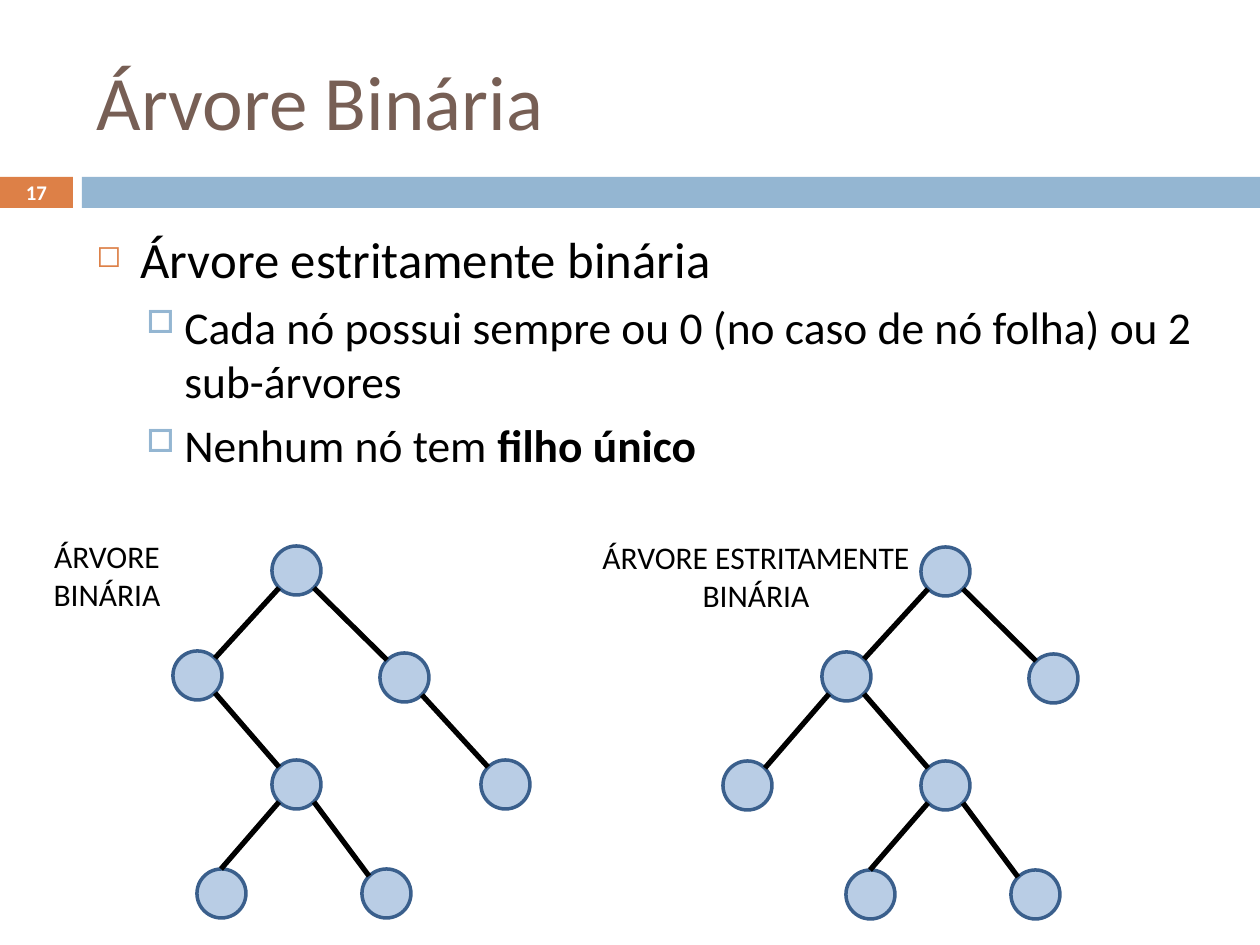
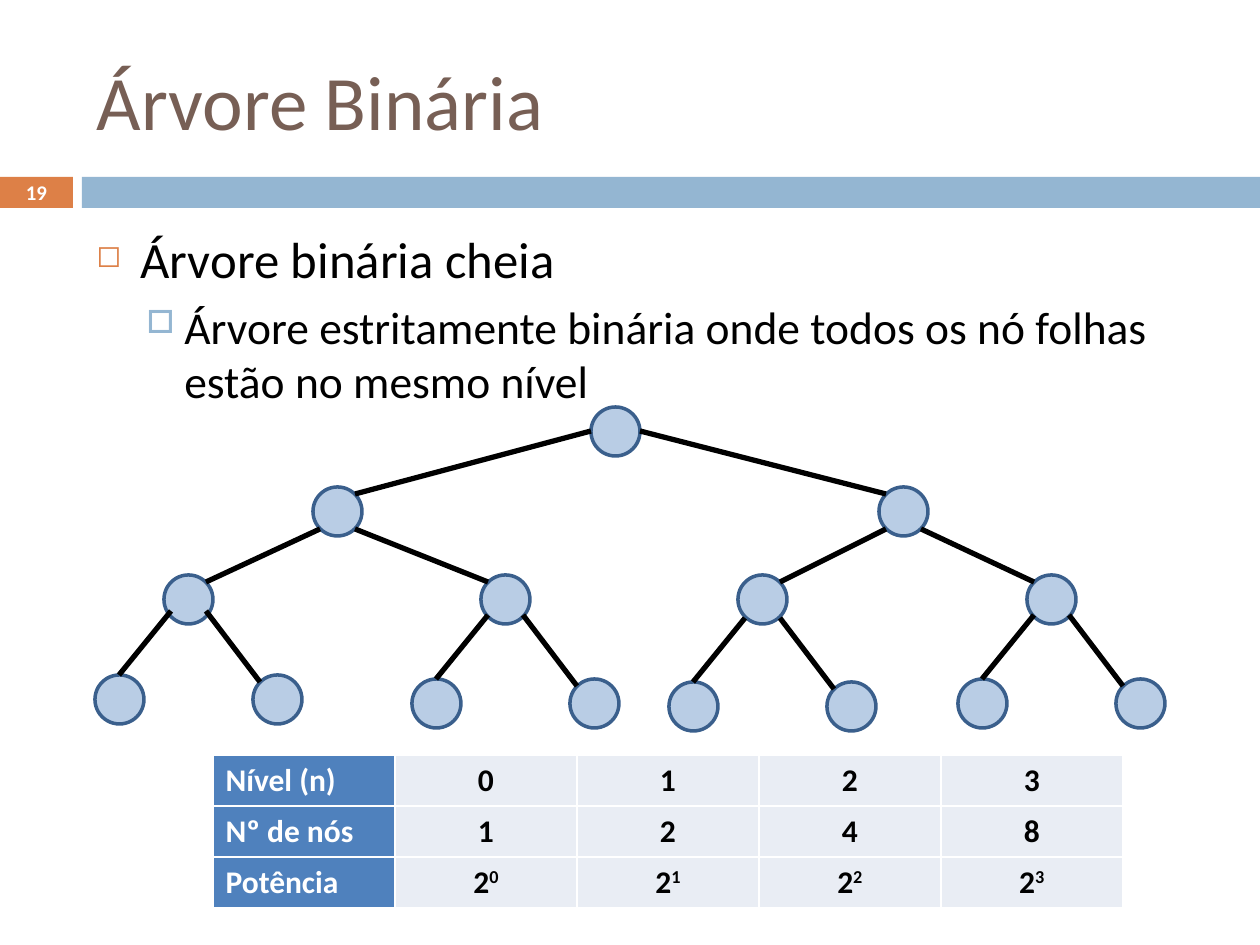
from dataclasses import dataclass

from lxml import etree
from pptx import Presentation
from pptx import util as u
from pptx.dml.color import RGBColor
from pptx.enum import shapes, text
from pptx.oxml import ns


@dataclass(frozen=True)
class Theme:
    font: str = "Calibri"
    title: str = "775F55"
    orange: str = "DD8047"
    blue: str = "94B6D2"
    white: str = "FFFFFF"
    black: str = "000000"
    node: str = "B9CDE5"
    node_line: str = "3A5F8C"
    head_cell: str = "4F81BD"
    cell: str = "E9EDF4"
    title_size: float = 44
    number_size: float = 11.9
    body_sizes: tuple = (29, 26)
    small_size: float = 18


T = Theme()
rgb = RGBColor.from_string
PX = 914400 / 126
NODE = 49  # node diameter

# Points on a node's outline, measured from its top left corner
SITES = {"t": (24, 0), "l": (0, 24), "r": (49, 24), "tl": (7, 7),
         "tr": (42, 7), "bl": (7, 42), "br": (42, 42)}

# Bullet style by level: character, colour, size %, left, hanging, space before
BULLETS = [("◻", T.orange, 60, 44, 44, 7), ("□", T.blue, 70, 88, 38, 5.5)]


def style(p, size, color, bold=None, align=None):
    p.alignment = align
    for r in p.runs:
        r.font.name, r.font.size = T.font, u.Pt(size)
        r.font.color.rgb = rgb(color)
        if bold is not None:
            r.font.bold = bold


def draw_tree(s, nodes, edges):
    """Nodes are top left corners; edges are pairs of end points."""
    for x, y in nodes:
        sp = s.shapes.add_shape(shapes.MSO_SHAPE.OVAL, *[round(v * PX) for v in (x, y, NODE, NODE)])
        sp.shadow.inherit = False
        sp.fill.solid()
        sp.fill.fore_color.rgb = rgb(T.node)
        sp.line.color.rgb = rgb(T.node_line)
        sp.line.width = u.Pt(2)
    for start, end in edges:
        c = s.shapes.add_connector(shapes.MSO_CONNECTOR.STRAIGHT,
                                   *[round(v * PX) for v in (*start, *end)])
        c.line.color.rgb = rgb(T.black)
        c.line.width = u.Pt(3)
        etree.SubElement(c._element.spPr, ns.qn("a:effectLst"))


prs = Presentation()
prs.slide_width, prs.slide_height = round(1260 * PX), round(945 * PX)

# Slide number and body paragraphs: level, text, bold ending
pages = [
    ("17", [(0, "Árvore estritamente binária", ""),
            (1, "Cada nó possui sempre ou 0 (no caso de nó folha) ou 2 sub-árvores", ""),
            (1, "Nenhum nó tem ", "filho único")]),
    ("19", [(0, "Árvore binária cheia", ""),
            (1, "Árvore estritamente binária onde todos os nó folhas estão no mesmo nível", "")]),
]

# Shared frame: bands, title, slide number, bulleted body
for number, paragraphs in pages:
    s = prs.slides.add_slide(prs.slide_layouts[5])
    for x, w, color in ((0, 73, T.orange), (82, 1178, T.blue)):
        sp = s.shapes.add_shape(shapes.MSO_SHAPE.RECTANGLE, *[round(v * PX) for v in (x, 177, w, 31)])
        sp.shadow.inherit = False
        sp.fill.solid()
        sp.fill.fore_color.rgb = rgb(color)
        sp.line.fill.background()

    title = s.shapes.title
    title.left, title.top, title.width, title.height = [round(v * PX) for v in (84, 32, 1124, 136)]
    title.text_frame.text = "Árvore Binária"
    title.text_frame.vertical_anchor = text.MSO_ANCHOR.MIDDLE
    style(title.text_frame.paragraphs[0], T.title_size, T.title, align=text.PP_ALIGN.LEFT)

    tf = s.shapes.add_textbox(*[round(v * PX) for v in (0, 175, 73, 34)]).text_frame
    tf.margin_top = tf.margin_bottom = 0
    tf.word_wrap = True
    tf.vertical_anchor = text.MSO_ANCHOR.MIDDLE
    tf.text = number
    style(tf.paragraphs[0], T.number_size, T.white, True, text.PP_ALIGN.CENTER)

    tf = s.shapes.add_textbox(*[round(v * PX) for v in (84, 222, 1124, 620)]).text_frame
    tf.word_wrap = True
    for i, (level, words, bold_end) in enumerate(paragraphs):
        p = tf.add_paragraph() if i else tf.paragraphs[0]
        p.text, p.level = words, level
        char, color, percent, left, hanging, before = BULLETS[level]
        if i:
            p.space_before = u.Pt(before)
        pPr = p._p.get_or_add_pPr()
        pPr.set("marL", str(round(left * PX)))
        pPr.set("indent", str(round(-hanging * PX)))
        buClr = etree.SubElement(pPr, ns.qn("a:buClr"))
        etree.SubElement(buClr, ns.qn("a:srgbClr"), val=color)
        etree.SubElement(pPr, ns.qn("a:buSzPct"), val=str(percent * 1000))
        etree.SubElement(pPr, ns.qn("a:buChar"), char=char)
        if bold_end:
            r = p.add_run()
            r.text, r.font.bold = bold_end, True
        style(p, T.body_sizes[level], T.black)

comparison, full = prs.slides

# Binary and strictly binary trees: same core, one different leaf
core = {"root": (272, 546), "left": (173, 651), "right": (380, 653),
        "inner": (272, 760), "leaf_l": (197, 869), "leaf_r": (362, 869)}
core_links = [("root", "bl", "left", "tr"), ("root", "br", "right", "tl"),
              ("left", "br", "inner", "tl"), ("inner", "bl", "leaf_l", "t"),
              ("inner", "br", "leaf_r", "tl")]
variants = [
    (0, 0, (481, 760), ("right", "br", "extra", "tl"), 214, ["ÁRVORE", "BINÁRIA"]),
    (649, 1, (74, 760), ("left", "bl", "extra", "tr"), 363, ["ÁRVORE ESTRITAMENTE", "BINÁRIA"]),
]
for dx, dy, extra, extra_link, label_w, label in variants:
    nodes = {k: (x + dx, y + dy) for k, (x, y) in {**core, "extra": extra}.items()}
    edges = [[(nodes[k][0] + SITES[site][0], nodes[k][1] + SITES[site][1])
              for k, site in ((a, a_site), (b, b_site))]
             for a, a_site, b, b_site in core_links + [extra_link]]
    draw_tree(comparison, nodes.values(), edges)

    box = (107 + dx - label_w / 2, 531 + dy, label_w, 89)
    tf = comparison.shapes.add_textbox(*[round(v * PX) for v in box]).text_frame
    tf.word_wrap = True
    tf.text = "\n".join(label)
    for p in tf.paragraphs:
        style(p, T.small_size, T.black, align=text.PP_ALIGN.CENTER)

# Full tree: upper levels, then a pair of leaves under each third-level node
root, second = (591, 407), [(313, 487), (879, 487)]
third = [(x, 575) for x in (164, 481, 738, 1027)]
links = [(root, "l", second[0], "tr"), (root, "r", second[1], "tl")]
for i, child in enumerate(third):
    links.append((second[i // 2], ("bl", "br")[i % 2], child, ("tr", "tl")[i % 2]))
edges = [((a[0] + SITES[m][0], a[1] + SITES[m][1]), (b[0] + SITES[n][0], b[1] + SITES[n][1]))
         for a, m, b, n in links]
leaves = []
for (x, y), leaf_y in zip(third, (675, 679, 682, 679)):
    for dx, start, end in ((-69, "bl", "t"), (89, "br", "tl")):
        leaves.append((x + dx, leaf_y))
        edges.append(((x + SITES[start][0], leaf_y - 64),
                      (x + dx + SITES[end][0], leaf_y + SITES[end][1])))
draw_tree(full, [root, *second, *third, *leaves], edges)

# Table of nodes per level: base text and exponent
levels = range(4)
rows = [
    [("Nível (n)", "")] + [(str(n), "") for n in levels],
    [("Nº de nós", "")] + [(str(2 ** n), "") for n in levels],
    [("Potência", "")] + [("2", str(n)) for n in levels],
]
table = full.shapes.add_table(3, 5, *[round(v * PX) for v in (213, 755, 910, 153)]).table
table.first_row = table.horz_banding = False
for col in table.columns:
    col.width = round(182 * PX)
for i, row in enumerate(rows):
    table.rows[i].height = round(51 * PX)
    for j, (base, exponent) in enumerate(row):
        cell = table.cell(i, j)
        tcPr = cell._tc.get_or_add_tcPr()
        for side in ("lnL", "lnR", "lnT", "lnB"):
            ln = etree.SubElement(tcPr, ns.qn("a:" + side), w="12700")
            solid = etree.SubElement(ln, ns.qn("a:solidFill"))
            etree.SubElement(solid, ns.qn("a:srgbClr"), val=T.white)
        cell.fill.solid()
        cell.fill.fore_color.rgb = rgb(T.cell if j else T.head_cell)
        p = cell.text_frame.paragraphs[0]
        p.text = base
        if exponent:
            r = p.add_run()
            r.text = exponent
            r.font._element.set("baseline", "30000")
        style(p, T.small_size, T.black if j else T.white, True,
              text.PP_ALIGN.CENTER if j else text.PP_ALIGN.LEFT)

prs.save("out.pptx")
